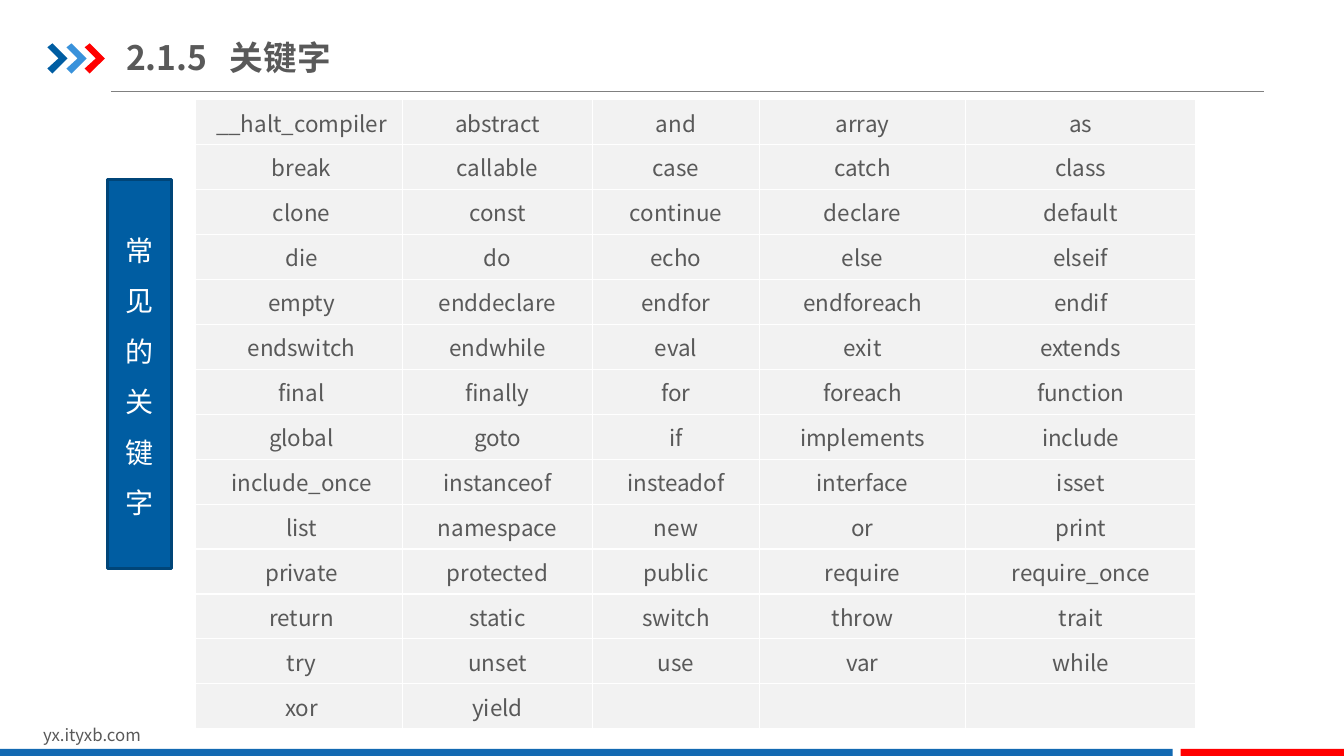
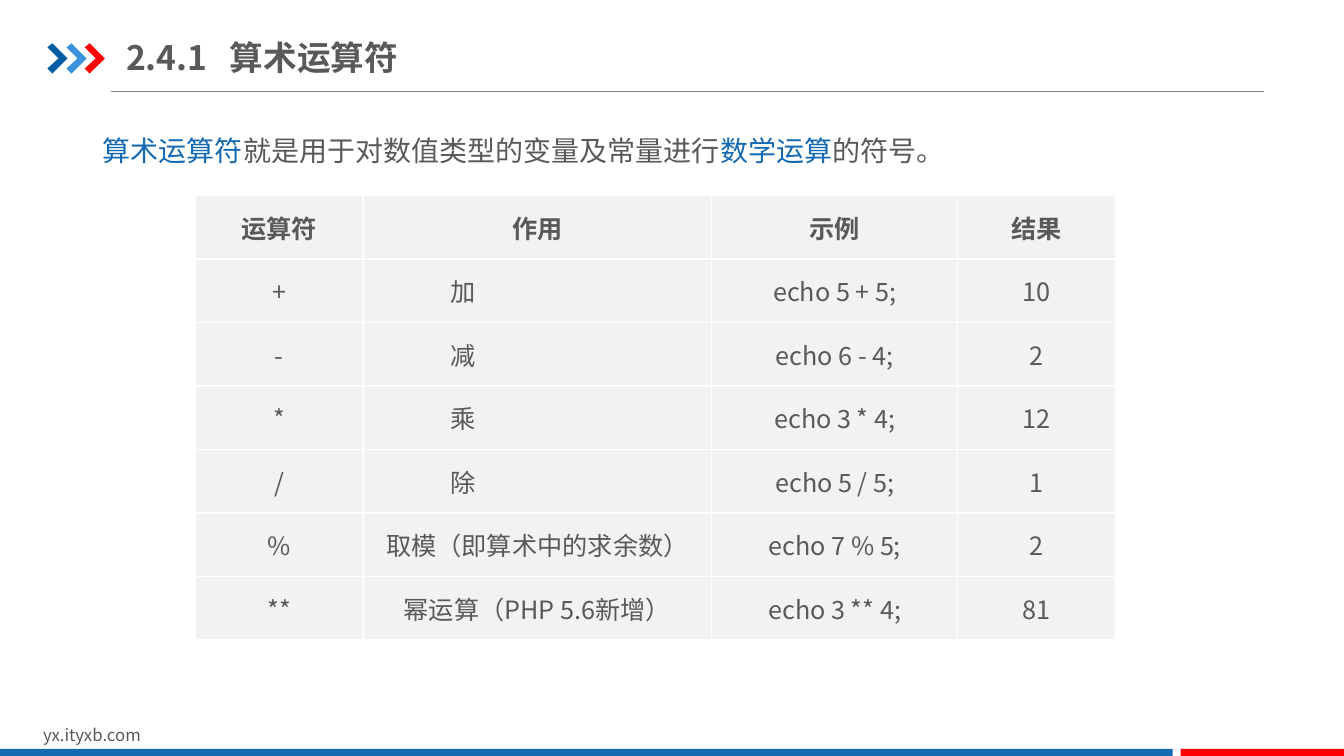
from dataclasses import dataclass
from typing import Callable

from lxml import etree
from pptx import Presentation
from pptx.dml.color import RGBColor
from pptx.enum.shapes import MSO_CONNECTOR, MSO_SHAPE
from pptx.enum.text import MSO_ANCHOR, MSO_AUTO_SIZE, PP_ALIGN
from pptx.oxml.ns import qn
from pptx.util import Inches, Pt

FONT = "Noto Sans CJK SC"
WHITE = RGBColor(0xFF, 0xFF, 0xFF)
TEXT_GRAY = RGBColor(0x59, 0x59, 0x59)
RULE_GRAY = RGBColor(0x80, 0x80, 0x80)
CELL_GRAY = RGBColor(0xF2, 0xF2, 0xF2)
NAVY = RGBColor(0x00, 0x5D, 0xA2)
DARK_NAVY = RGBColor(0x00, 0x45, 0x78)
SKY = RGBColor(0x39, 0x92, 0xDB)
BLUE = RGBColor(0x13, 0x69, 0xB2)
RED = RGBColor(0xFF, 0x00, 0x00)

LEFT, CENTER, JUSTIFY = PP_ALIGN.LEFT, PP_ALIGN.CENTER, PP_ALIGN.JUSTIFY
TOP, MIDDLE = MSO_ANCHOR.TOP, MSO_ANCHOR.MIDDLE
NO_FIT = MSO_AUTO_SIZE.NONE
RECTANGLE = MSO_SHAPE.RECTANGLE
STRAIGHT = MSO_CONNECTOR.STRAIGHT
TITLE_ONLY = 5

CHEVRON_TOP = 0.43
CHEVRON_OUTLINE = ((0, 0.04), (0.05, 0), (0.2, 0.15), (0.05, 0.3), (0, 0.25), (0.11, 0.15))


@dataclass(frozen=True)
class Place:
    left: float
    top: float
    width: float
    height: float

    def lengths(self) -> tuple:
        return tuple(Inches(n) for n in (self.left, self.top, self.width, self.height))


@dataclass(frozen=True)
class Chevron:
    left: float
    color: RGBColor


@dataclass(frozen=True)
class Band:
    place: Place
    color: RGBColor


@dataclass(frozen=True)
class Span:
    text: str
    color: RGBColor = TEXT_GRAY


@dataclass(frozen=True)
class CellFormat:
    alignment: PP_ALIGN = CENTER
    indent: float = 0
    bold: bool = False


@dataclass(frozen=True)
class Grid:
    left: float
    top: float
    widths: tuple[float, ...]
    height: float
    side_margin: float
    size: int
    rows: tuple[tuple[str, ...], ...]
    cell_format: Callable[[int, int], CellFormat]


CHEVRONS = (Chevron(0.47, NAVY), Chevron(0.66, SKY), Chevron(0.84, RED))
BANDS = (
    Band(Place(0, 7.43, 11.63, 0.09), BLUE),
    Band(Place(11.71, 7.43, 1.63, 0.09), RED),
)


def set_values(target, values: dict) -> None:
    for name, value in values.items():
        setattr(target, name, value)


def add_span(para, span: Span, size: int, bold: bool = False) -> None:
    run = para.add_run()
    run.text = span.text
    set_values(run.font, {"name": FONT, "size": Pt(size), "bold": bold})
    run.font.color.rgb = span.color
    east_asian = etree.SubElement(run._r.get_or_add_rPr(), qn("a:ea"))
    east_asian.set("typeface", FONT)


def add_box(page, place: Place, spans: tuple[Span, ...], size: int, spacing: float = 1.0) -> None:
    frame = page.shapes.add_textbox(*place.lengths()).text_frame
    frame.word_wrap = True
    para = frame.paragraphs[0]
    para.line_spacing = spacing
    for span in spans:
        add_span(para, span, size)


def add_rectangle(page, place: Place, color: RGBColor):
    shape = page.shapes.add_shape(RECTANGLE, *place.lengths())
    shape.shadow.inherit = False
    shape.fill.solid()
    shape.fill.fore_color.rgb = color
    shape.line.fill.background()
    return shape


def add_chevron(page, chevron: Chevron) -> None:
    points = [
        (Inches(chevron.left + x), Inches(CHEVRON_TOP + y)) for x, y in CHEVRON_OUTLINE
    ]
    builder = page.shapes.build_freeform(*points[0])
    builder.add_line_segments(points[1:], close=True)
    shape = builder.convert_to_shape()
    shape.shadow.inherit = False
    shape.fill.solid()
    shape.fill.fore_color.rgb = chevron.color
    shape.line.fill.background()


def add_rule(page) -> None:
    rule = page.shapes.add_connector(
        STRAIGHT, Inches(1.1), Inches(0.91), Inches(12.54), Inches(0.91)
    )
    rule.line.color.rgb = RULE_GRAY
    rule.line.width = Pt(0.75)
    etree.SubElement(rule._element.spPr, qn("a:effectLst"))


def set_title(page, number: str, heading: str) -> None:
    """Write the section number and heading, parted by a tab stop."""
    title = page.shapes.title
    left, top, width, height = Place(1.25, 0.29, 4.26, 0.55).lengths()
    set_values(title, {"left": left, "top": top, "width": width, "height": height})
    set_values(title.text_frame, {
        "auto_size": NO_FIT, "word_wrap": True, "vertical_anchor": MIDDLE,
        "margin_left": 0, "margin_right": 0,
        "margin_top": Inches(0.07), "margin_bottom": Inches(0.07),
    })
    para = title.text_frame.paragraphs[0]
    para.alignment = LEFT
    tabs = etree.SubElement(para._p.get_or_add_pPr(), qn("a:tabLst"))
    etree.SubElement(tabs, qn("a:tab"), pos=str(Inches(1.03)), algn="l")
    add_span(para, Span(f"{number}\t{heading}"), 24, bold=True)


def add_page(deck, number: str, heading: str):
    """Add a slide with the shared title, header marks and footer."""
    page = deck.slides.add_slide(deck.slide_layouts[TITLE_ONLY])
    add_rule(page)
    for chevron in CHEVRONS:
        add_chevron(page, chevron)
    add_box(page, Place(0.33, 7.14, 3.18, 0.3), (Span("yx.ityxb.com"),), 12)
    for band in BANDS:
        add_rectangle(page, band.place, band.color)
    set_title(page, number, heading)
    return page


def add_borders(cell) -> None:
    properties = cell._tc.get_or_add_tcPr()
    for index, side in enumerate(("lnL", "lnR", "lnT", "lnB")):
        border = etree.Element(qn(f"a:{side}"), w=str(Pt(1)))
        fill = etree.SubElement(border, qn("a:solidFill"))
        etree.SubElement(fill, qn("a:srgbClr"), val=str(WHITE))
        properties.insert(index, border)


def fill_cell(cell, text: str, grid: Grid, style: CellFormat) -> None:
    set_values(cell, {
        "margin_left": Inches(grid.side_margin), "margin_right": Inches(grid.side_margin),
        "margin_top": 0, "margin_bottom": 0, "vertical_anchor": MIDDLE,
    })
    cell.fill.solid()
    cell.fill.fore_color.rgb = CELL_GRAY
    add_borders(cell)
    if text:
        para = cell.text_frame.paragraphs[0]
        para.alignment = style.alignment
        para._p.get_or_add_pPr().set("indent", str(Inches(style.indent)))
        add_span(para, Span(text), grid.size, style.bold)


def add_grid(page, grid: Grid) -> None:
    place = Place(grid.left, grid.top, sum(grid.widths), grid.height)
    table = page.shapes.add_table(
        len(grid.rows), len(grid.widths), *place.lengths()
    ).table
    set_values(table, {"first_row": False, "horz_banding": False})
    for column, width in zip(table.columns, grid.widths):
        column.width = Inches(width)
    for row in table.rows:
        row.height = Inches(grid.height / len(grid.rows))
    for row_index, texts in enumerate(grid.rows):
        for column_index, text in enumerate(texts):
            style = grid.cell_format(row_index, column_index)
            fill_cell(table.cell(row_index, column_index), text, grid, style)


def keyword_format(row: int, column: int) -> CellFormat:
    return CellFormat(indent=0.05 if column == 0 else 0)


def operator_format(row: int, column: int) -> CellFormat:
    """Bold the header and indent the one-character meanings."""
    if column == 1 and 1 <= row <= 4:
        return CellFormat(JUSTIFY, 0.8)
    return CellFormat(bold=row == 0)


KEYWORDS = Grid(
    1.94, 0.99, (2.05, 1.89, 1.65, 2.05, 2.28), 6.24, 0, 16,
    (
        ("__halt_compiler", "abstract", "and", "array", "as"),
        ("break", "callable", "case", "catch", "class"),
        ("clone", "const", "continue", "declare", "default"),
        ("die", "do", "echo", "else", "elseif"),
        ("empty", "enddeclare", "endfor", "endforeach", "endif"),
        ("endswitch", "endwhile", "eval", "exit", "extends"),
        ("final", "finally", "for", "foreach", "function"),
        ("global", "goto", "if", "implements", "include"),
        ("include_once", "instanceof", "insteadof", "interface", "isset"),
        ("list", "namespace", "new", "or", "print"),
        ("private", "protected", "public", "require", "require_once"),
        ("return", "static", "switch", "throw", "trait"),
        ("try", "unset", "use", "var", "while"),
        ("xor", "yield", "", "", ""),
    ),
    keyword_format,
)

OPERATORS = Grid(
    1.94, 1.94, (1.66, 3.46, 2.44, 1.57), 4.41, 0.07, 18,
    (
        ("运算符", "作用", "示例", "结果"),
        ("+", "加", "echo 5 + 5;", "10"),
        ("-", "减", "echo 6 - 4;", "2"),
        ("*", "乘", "echo 3 * 4;", "12"),
        ("/", "除", "echo 5 / 5;", "1"),
        ("%", "取模（即算术中的求余数）", "echo 7 % 5;", "2"),
        ("**", "幂运算（PHP 5.6新增）", "echo 3 ** 4;", "81"),
    ),
    operator_format,
)


def add_keyword_banner(page) -> None:
    """Draw the upright banner, just wide enough for one character a line."""
    banner = add_rectangle(page, Place(1.07, 1.78, 0.63, 3.86), NAVY)
    banner.line.color.rgb = DARK_NAVY
    banner.line.width = Pt(2)
    set_values(banner.text_frame, {
        "word_wrap": True, "vertical_anchor": TOP, "margin_top": Inches(0.37),
        "margin_left": Inches(0.17), "margin_right": Inches(0.17),
    })
    para = banner.text_frame.paragraphs[0]
    set_values(para, {"alignment": LEFT, "line_spacing": 1.5})
    add_span(para, Span("常见的关键字", WHITE), 20)


def build_keywords(deck) -> None:
    page = add_page(deck, "2.1.5", "关键字")
    add_keyword_banner(page)
    add_grid(page, KEYWORDS)


def build_operators(deck) -> None:
    page = add_page(deck, "2.4.1", "算术运算符")
    definition = (
        Span("算术运算符", BLUE),
        Span("就是用于对数值类型的变量及常量进行"),
        Span("数学运算", BLUE),
        Span("的符号。"),
    )
    add_box(page, Place(0.92, 1.11, 11.65, 0.61), definition, 20, spacing=1.5)
    add_grid(page, OPERATORS)


def main() -> None:
    deck = Presentation()
    set_values(deck, {"slide_width": Inches(13.33), "slide_height": Inches(7.5)})
    build_keywords(deck)
    build_operators(deck)
    deck.save("out.pptx")


if __name__ == "__main__":
    main()
